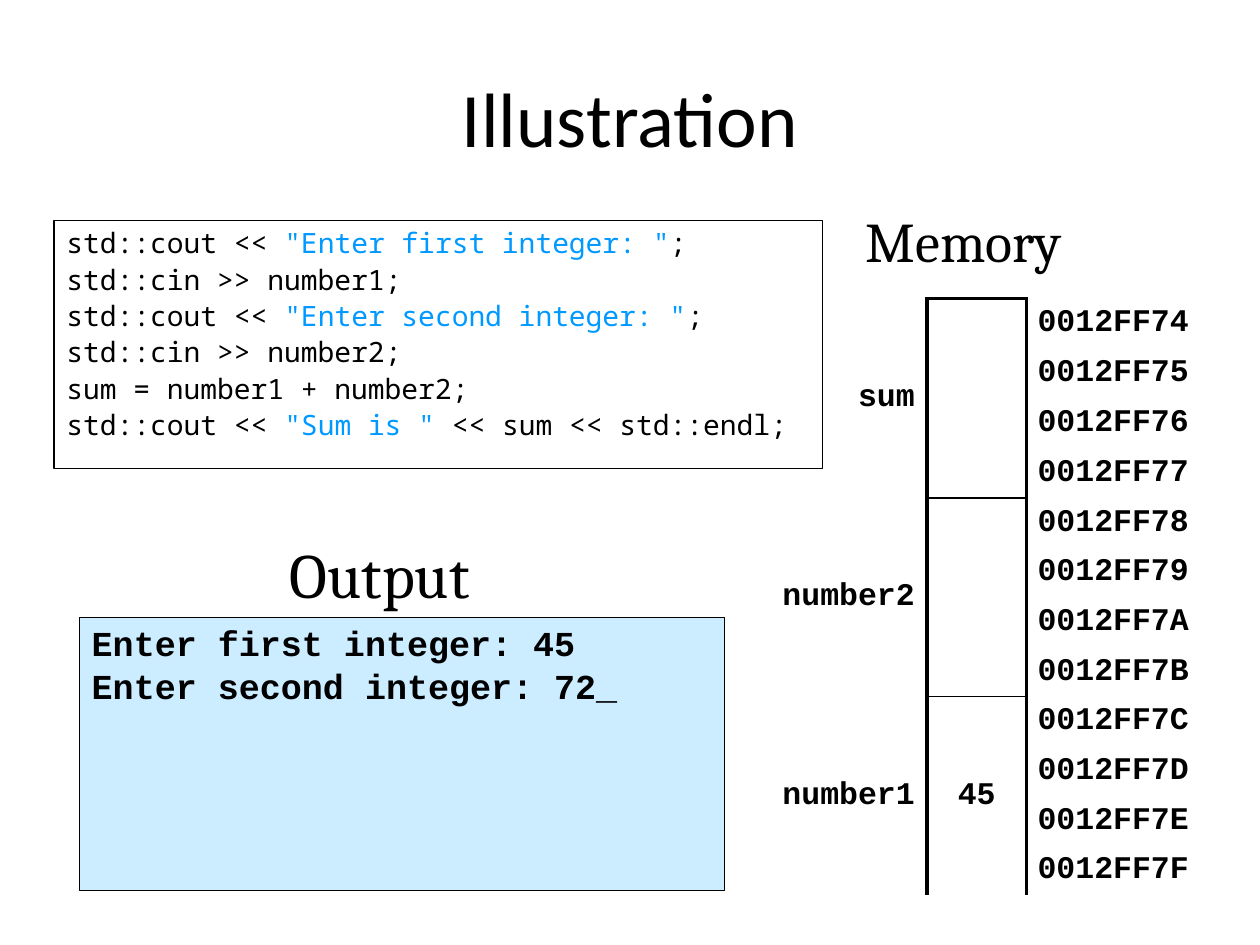
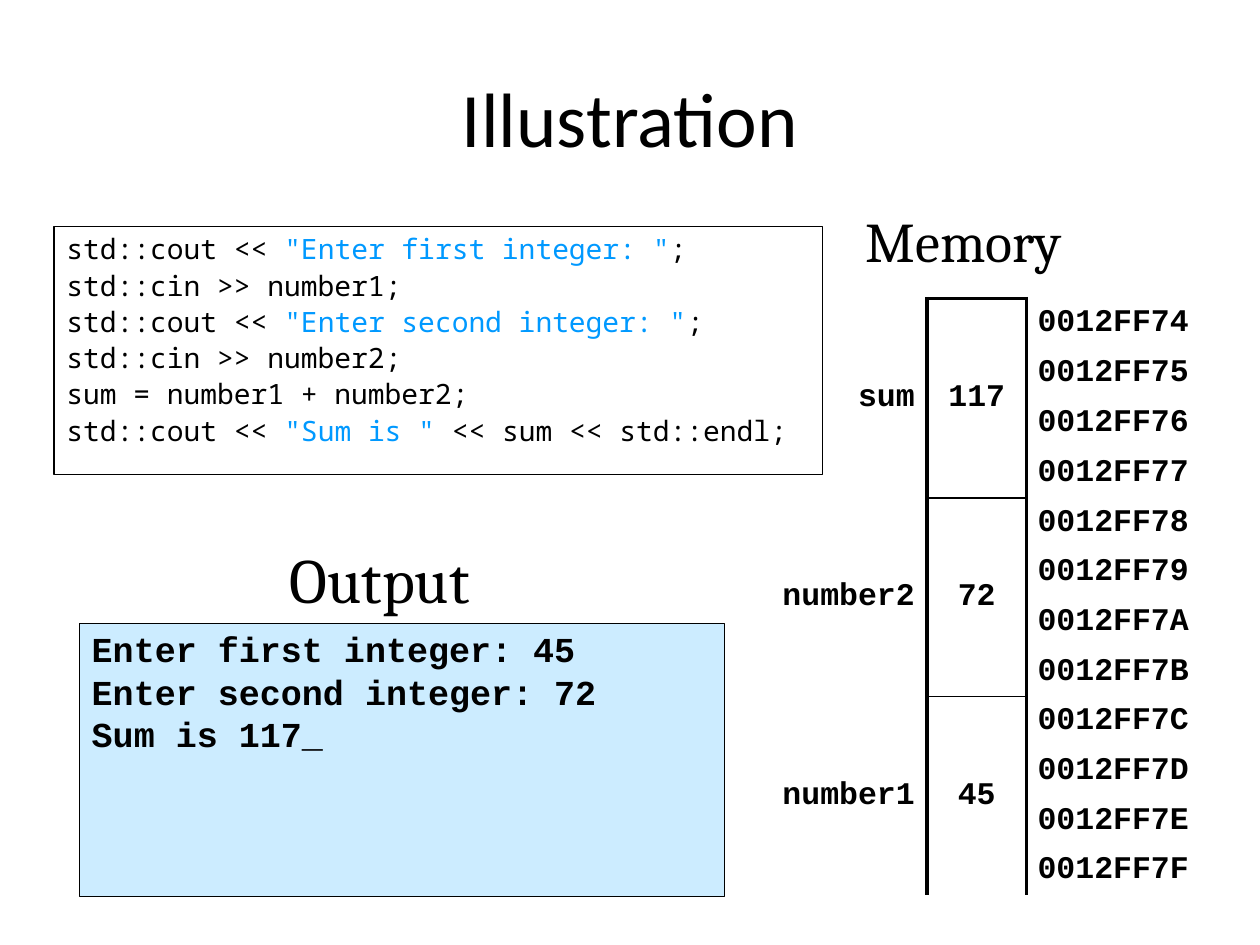
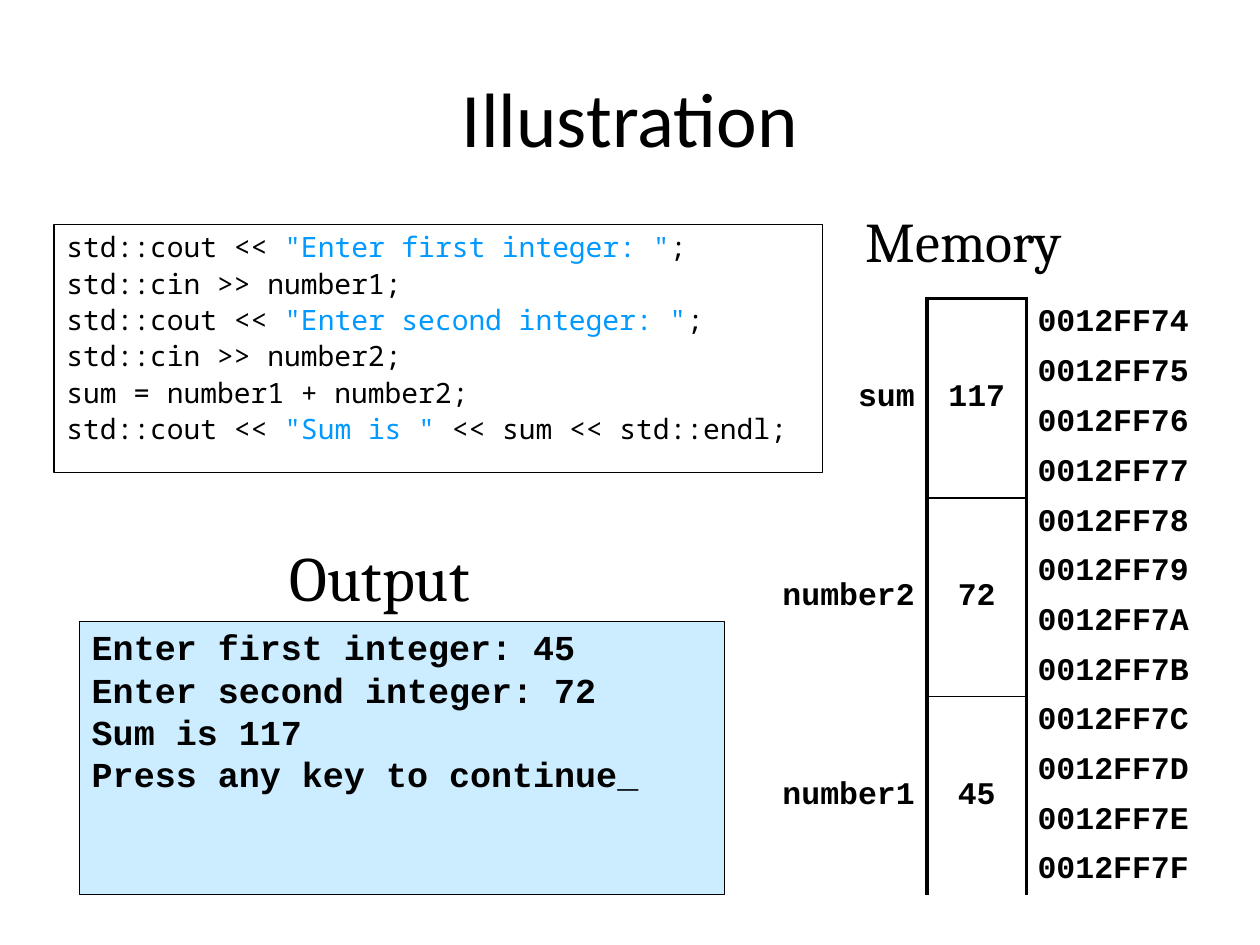
"""Build three slides that trace an integer addition program through output and memory."""
from dataclasses import dataclass

import pptx
import pptx.dml.color
import pptx.enum.shapes
import pptx.enum.text
import pptx.oxml
import pptx.oxml.ns
import pptx.util
from pptx.util import Cm, Pt

ANCHOR = pptx.enum.text.MSO_ANCHOR
ALIGN = pptx.enum.text.PP_ALIGN

TITLE = "Illustration"
CODE = [
    'std::cout << "Enter first integer: ";',
    "std::cin >> number1;",
    'std::cout << "Enter second integer: ";',
    "std::cin >> number2;",
    "sum = number1 + number2;",
    'std::cout << "Sum is " << sum << std::endl;',
]
VARIABLES = ["sum", "number2", "number1"]
BYTES_PER_VARIABLE = 4
FIRST_ADDRESS = 0x0012FF74
STEPS = [
    {"drop": 0, "values": {"number1": "45"},
     "output": ["Enter first integer: 45", "Enter second integer: 72_"]},
    {"drop": 0.12, "values": {"number1": "45", "number2": "72", "sum": "117"},
     "output": ["Enter first integer: 45", "Enter second integer: 72", "Sum is 117_"]},
    {"drop": 0.08, "values": {"number1": "45", "number2": "72", "sum": "117"},
     "output": ["Enter first integer: 45", "Enter second integer: 72", "Sum is 117",
                "Press any key to continue_"]},
]

TITLE_AREA = (1.27, 0.76, 22.86, 3.18)
CODE_AREA = (1.09, 4.45, 15.49, 5)
OUTPUT_HEADING_AREA = (5.59, 10.44, 5, 2)
OUTPUT_AREA = (1.6, 12.45, 13, 5.51)
MEMORY_HEADING_AREA = (17.2, 4.01, 5, 1.5)
MEMORY_CORNER = (15.19, 6.02)
MEMORY_COLUMNS = (3.5, 2, 3.5)
MEMORY_ROW = 1


@dataclass(frozen=True)
class Theme:
    ink: str = "000000"
    string: str = "0099FF"
    console: str = "CCECFF"
    title: tuple = ("Calibri", 44)
    output_heading: tuple = ("Cambria", 36)
    memory_heading: tuple = ("Cambria", 32)
    code: tuple = ("Noto Sans Mono", 16)
    console_text: tuple = ("Courier New", 20)
    memory_text: tuple = ("Courier New", 18)
    outline: float = 0.75
    divider: float = 1
    frame: float = 2.25


THEME = Theme()


def rgb(value):
    return pptx.dml.color.RGBColor.from_string(value)


def shifted(area, drop):
    left, top, width, height = area
    return left, top + drop, width, height


def set_font(para, style, bold=False):
    para.font.name, size = style[0], style[1]
    para.font.size = Pt(size)
    para.font.bold = bold
    para.font.color.rgb = rgb(THEME.ink)


def add_label(page, area, text, style, anchor, align=ALIGN.LEFT, bottom=0.13):
    box = page.shapes.add_textbox(*map(Cm, area))
    frame = box.text_frame
    frame.word_wrap = True
    frame.vertical_anchor = anchor
    frame.margin_bottom = Cm(bottom)
    para = frame.paragraphs[0]
    para.text = text
    para.alignment = align
    set_font(para, style)


def add_panel(page, area, lines, style, spacing, before, top, fill=None, bold=False):
    panel = page.shapes.add_shape(pptx.enum.shapes.MSO_SHAPE.RECTANGLE, *map(Cm, area))
    panel.shadow.inherit = False
    panel.line.color.rgb = rgb(THEME.ink)
    panel.line.width = Pt(THEME.outline)
    if fill:
        panel.fill.solid()
        panel.fill.fore_color.rgb = rgb(fill)
    else:
        panel.fill.background()
    frame = panel.text_frame
    frame.word_wrap = True
    frame.vertical_anchor = ANCHOR.TOP
    frame.margin_top = Cm(top)
    for index, line in enumerate(lines):
        para = frame.add_paragraph() if index else frame.paragraphs[0]
        para.alignment = ALIGN.LEFT
        para.line_spacing = spacing
        para.space_before = Pt(before if index else 0)
        set_font(para, style, bold)
        for part, text in enumerate(line.split('"')):
            quoted = part % 2 == 1
            if text:
                span = para.add_run()
                span.text = f'"{text}"' if quoted else text
                if quoted:
                    span.font.color.rgb = rgb(THEME.string)


def add_borders(cell, widths):
    properties = cell._tc.get_or_add_tcPr()
    for side in "LRTB":
        width = widths.get(side, 0)
        paint = (f'<a:solidFill><a:srgbClr val="{THEME.ink}"/></a:solidFill>'
                 if width else "<a:noFill/>")
        properties.append(pptx.oxml.parse_xml(
            f'<a:ln{side} {pptx.oxml.ns.nsdecls("a")} w="{Pt(width)}">{paint}</a:ln{side}>'))


def cell_borders(row, column, row_count):
    if column == 0:
        return {"R": THEME.frame}
    if column == 2:
        return {"L": THEME.frame}
    borders = {"L": THEME.frame, "R": THEME.frame}
    if row % BYTES_PER_VARIABLE == 0:
        borders["T"] = THEME.divider if row else THEME.frame
    if (row + 1) % BYTES_PER_VARIABLE == 0:
        borders["B"] = THEME.divider if row + 1 < row_count else THEME.frame
    return borders


def fill_cell(cell, text, align, margins=(0.25, 0.13)):
    cell.vertical_anchor = ANCHOR.MIDDLE
    cell.margin_left = cell.margin_right = Cm(margins[0])
    cell.margin_top = cell.margin_bottom = Cm(margins[1])
    para = cell.text_frame.paragraphs[0]
    para.text = text
    para.alignment = align
    set_font(para, THEME.memory_text, bold=True)


def add_memory(page, values):
    row_count = len(VARIABLES) * BYTES_PER_VARIABLE
    size = (sum(MEMORY_COLUMNS), MEMORY_ROW * row_count)
    table = page.shapes.add_table(
        row_count, len(MEMORY_COLUMNS), *map(Cm, MEMORY_CORNER + size)).table
    table.first_row = table.horz_banding = False
    for column, width in zip(table.columns, MEMORY_COLUMNS):
        column.width = Cm(width)
    for index, row in enumerate(table.rows):
        row.height = Cm(MEMORY_ROW)
        for column, cell in enumerate(row.cells):
            add_borders(cell, cell_borders(index, column, row_count))
            cell.fill.background()
        fill_cell(table.cell(index, 2), f"{FIRST_ADDRESS + index:08X}", ALIGN.CENTER, (0.2, 0.1))
    for index, name in enumerate(VARIABLES):
        first = index * BYTES_PER_VARIABLE
        last = first + BYTES_PER_VARIABLE - 1
        for column, text, align in ((0, name, ALIGN.RIGHT),
                                    (1, values.get(name, ""), ALIGN.CENTER)):
            table.cell(first, column).merge(table.cell(last, column))
            fill_cell(table.cell(first, column), text, align)


def add_step(deck, step):
    page = deck.slides.add_slide(deck.slide_layouts[6])
    drop = step["drop"]
    add_label(page, shifted(OUTPUT_HEADING_AREA, drop), "Output",
              THEME.output_heading, ANCHOR.BOTTOM)
    add_panel(page, shifted(CODE_AREA, drop), CODE, THEME.code,
              spacing=0.9, before=3.5, top=0.18)
    add_panel(page, shifted(OUTPUT_AREA, drop), step["output"], THEME.console_text,
              spacing=0.8, before=5, top=0.25, fill=THEME.console, bold=True)
    add_label(page, MEMORY_HEADING_AREA, "Memory", THEME.memory_heading,
              ANCHOR.BOTTOM, bottom=0)
    add_memory(page, step["values"])
    add_label(page, TITLE_AREA, TITLE, THEME.title, ANCHOR.MIDDLE, ALIGN.CENTER)


def main():
    deck = pptx.Presentation()
    deck.slide_width, deck.slide_height = Cm(25.4), Cm(19.05)
    for step in STEPS:
        add_step(deck, step)
    deck.save("out.pptx")


if __name__ == "__main__":
    main()
